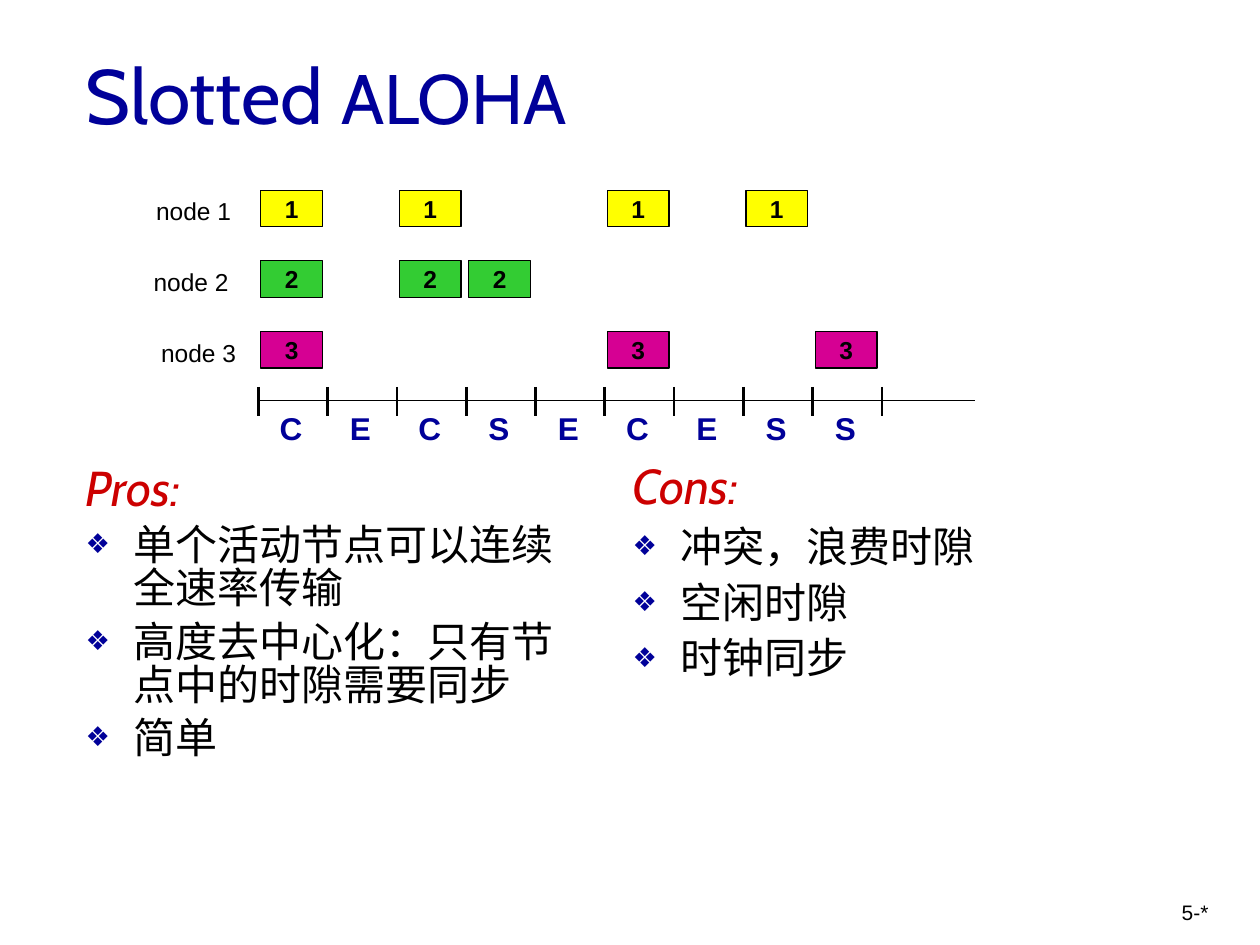
"""Build the Slotted ALOHA slide with its slot timeline, pros and cons."""
from lxml import etree
from pptx import Presentation
from pptx.dml.color import RGBColor
from pptx.enum.shapes import MSO_CONNECTOR, MSO_SHAPE
from pptx.enum.text import MSO_ANCHOR, MSO_AUTO_SIZE, PP_ALIGN
from pptx.oxml.ns import qn
from pptx.util import Inches, Pt

RECTANGLE, STRAIGHT = MSO_SHAPE.RECTANGLE, MSO_CONNECTOR.STRAIGHT
LEFT, CENTER, RIGHT = PP_ALIGN.LEFT, PP_ALIGN.CENTER, PP_ALIGN.RIGHT
TOP, MIDDLE, NO_AUTOFIT = MSO_ANCHOR.TOP, MSO_ANCHOR.MIDDLE, MSO_AUTO_SIZE.NONE

COLORS = {"navy": "000099", "red": "CC0000", "black": "000000",
          "yellow": "FFFF00", "green": "33CC33", "magenta": "D60093"}
FORMATS = {
    "title": {"name": "Cabin", "size": Pt(44), "color": "navy"},
    "title_small": {"name": "Cabin", "size": Pt(40), "color": "navy"},
    "heading": {"name": "Cabin", "size": Pt(28), "color": "red", "italic": True},
    "item": {"name": "Noto Sans CJK SC", "size": Pt(24), "color": "black", "italic": False},
    "packet": {"name": "Arial", "size": Pt(14), "color": "black", "bold": True},
    "node": {"name": "Arial", "size": Pt(14), "color": "black"},
    "outcome": {"name": "Arial", "size": Pt(18), "color": "navy", "bold": True},
    "page": {"name": "Arial", "size": Pt(12), "color": "black"},
}

TITLE = [("Slotted ", "title"), ("ALOHA", "title_small")]
NODES = [
    ("node 1", 1.14, "1", "yellow", [0, 2, 5, 7]),
    ("node 2", 1.12, "2", "green", [0, 2, 3]),
    ("node 3", 1.18, "3", "magenta", [0, 5, 8]),
]
OUTCOMES = "CECSECESS"
COLUMNS = [
    ("Pros:", ["单个活动节点可以连续全速率传输",
               "高度去中心化：只有节点中的时隙需要同步", "简单"], 0.58, 3.65, 0.85),
    ("Cons:", ["冲突，浪费时隙", "空闲时隙", "时钟同步"], 4.92, 3.62, 0.9),
]
PAGE = "5-*"

AXIS_LEFT, AXIS_RIGHT, AXIS_TOP, SLOT = 2.05, 7.74, 3.18, 0.55
ROW_TOP, ROW_STEP = 1.51, 0.56
NODE_WIDTH, NODE_HEIGHT = 0.88, 0.34
PACKET_WIDTH, PACKET_HEIGHT = 0.49, 0.29
INDENT = 0.38


def rgb(name):
    return RGBColor.from_string(COLORS[name])


def add_run(paragraph, text, style):
    run = paragraph.add_run()
    run.text = text
    for key, value in FORMATS[style].items():
        if key == "color":
            run.font.color.rgb = rgb(value)
        else:
            setattr(run.font, key, value)
    east_asian = etree.Element(qn("a:ea"), typeface=FORMATS[style]["name"])
    run.font._element.find(qn("a:latin")).addnext(east_asian)


def place(shape, left, top, width, height):
    for key, value in zip(("left", "top", "width", "height"), (left, top, width, height)):
        setattr(shape, key, Inches(value))


def add_label(shapes, text, style, left, top, width, height, alignment=LEFT):
    shape = shapes.add_textbox(*map(Inches, (left, top, width, height)))
    shape.text_frame.word_wrap = True
    paragraph = shape.text_frame.paragraphs[0]
    paragraph.alignment = alignment
    add_run(paragraph, text, style)


def add_packet(shapes, text, color, left, top):
    shape = shapes.add_shape(RECTANGLE, *map(Inches, (left, top, PACKET_WIDTH, PACKET_HEIGHT)))
    shape.shadow.inherit = False
    shape.fill.solid()
    shape.fill.fore_color.rgb = rgb(color)
    shape.line.color.rgb = rgb("black")
    shape.line.width = Pt(0.75)
    frame = shape.text_frame
    frame.vertical_anchor = MIDDLE
    frame.margin_top = frame.margin_bottom = 0
    frame.paragraphs[0].alignment = CENTER
    add_run(frame.paragraphs[0], text, "packet")


def add_line(shapes, start_x, start_y, end_x, end_y, width):
    line = shapes.add_connector(STRAIGHT, *map(Inches, (start_x, start_y, end_x, end_y)))
    line.line.color.rgb = rgb("black")
    line.line.width = Pt(width)
    etree.SubElement(line._element.spPr, qn("a:effectLst"))


def add_timeline(shapes):
    for row, (label, label_left, number, color, slots) in enumerate(NODES):
        top = ROW_TOP + row * ROW_STEP
        add_label(shapes, label, "node", label_left, top, NODE_WIDTH, NODE_HEIGHT)
        for slot in slots:
            add_packet(shapes, number, color, AXIS_LEFT + slot * SLOT + 0.02, top)
    add_line(shapes, AXIS_LEFT, AXIS_TOP, AXIS_RIGHT, AXIS_TOP, 0.75)
    for tick in range(len(OUTCOMES) + 1):
        x = AXIS_LEFT + tick * SLOT
        add_line(shapes, x, AXIS_TOP - 0.11, x, AXIS_TOP + 0.12, 1.5)
    for slot, outcome in enumerate(OUTCOMES):
        left = AXIS_LEFT + slot * SLOT + 0.02
        add_label(shapes, outcome, "outcome", left, 3.2, 0.48, 0.4, CENTER)


def set_bullet(paragraph, bulleted):
    properties = paragraph._p.get_or_add_pPr()
    indent = Inches(INDENT)
    properties.set("marL", str(indent))
    properties.set("indent", str(-indent))
    if not bulleted:
        etree.SubElement(properties, qn("a:buNone"))
        return
    color = etree.SubElement(properties, qn("a:buClr"))
    etree.SubElement(color, qn("a:srgbClr"), val=COLORS["navy"])
    etree.SubElement(properties, qn("a:buSzPct"), val="65000")
    etree.SubElement(properties, qn("a:buChar"), char="❖")


def fill_column(placeholder, heading, items, left, top, spacing):
    place(placeholder, left, top, 4.17, 3.5)
    frame = placeholder.text_frame
    frame.auto_size = NO_AUTOFIT
    frame.vertical_anchor = TOP
    for index, text in enumerate([heading] + items):
        paragraph = frame.add_paragraph() if index else frame.paragraphs[0]
        set_bullet(paragraph, index > 0)
        paragraph.line_spacing = spacing
        paragraph.space_before = Pt(6 if index else 0)
        add_run(paragraph, text, "item" if index else "heading")


def main():
    presentation = Presentation()
    presentation.slide_width, presentation.slide_height = Inches(10), Inches(7.5)
    slide = presentation.slides.add_slide(presentation.slide_layouts[3])
    title = slide.shapes.title
    place(title, 0.58, 0.12, 5.42, 1.25)
    title.text_frame.auto_size = NO_AUTOFIT
    title.text_frame.vertical_anchor = MIDDLE
    paragraph = title.text_frame.paragraphs[0]
    paragraph.alignment = LEFT
    for text, style in TITLE:
        add_run(paragraph, text, style)
    for index, column in enumerate(COLUMNS, start=1):
        fill_column(slide.placeholders[index], *column)
    add_timeline(slide.shapes.add_group_shape().shapes)
    add_label(slide.shapes, PAGE, "page", 8.95, 7.09, 0.74, 0.5, RIGHT)
    presentation.save("out.pptx")


if __name__ == "__main__":
    main()
